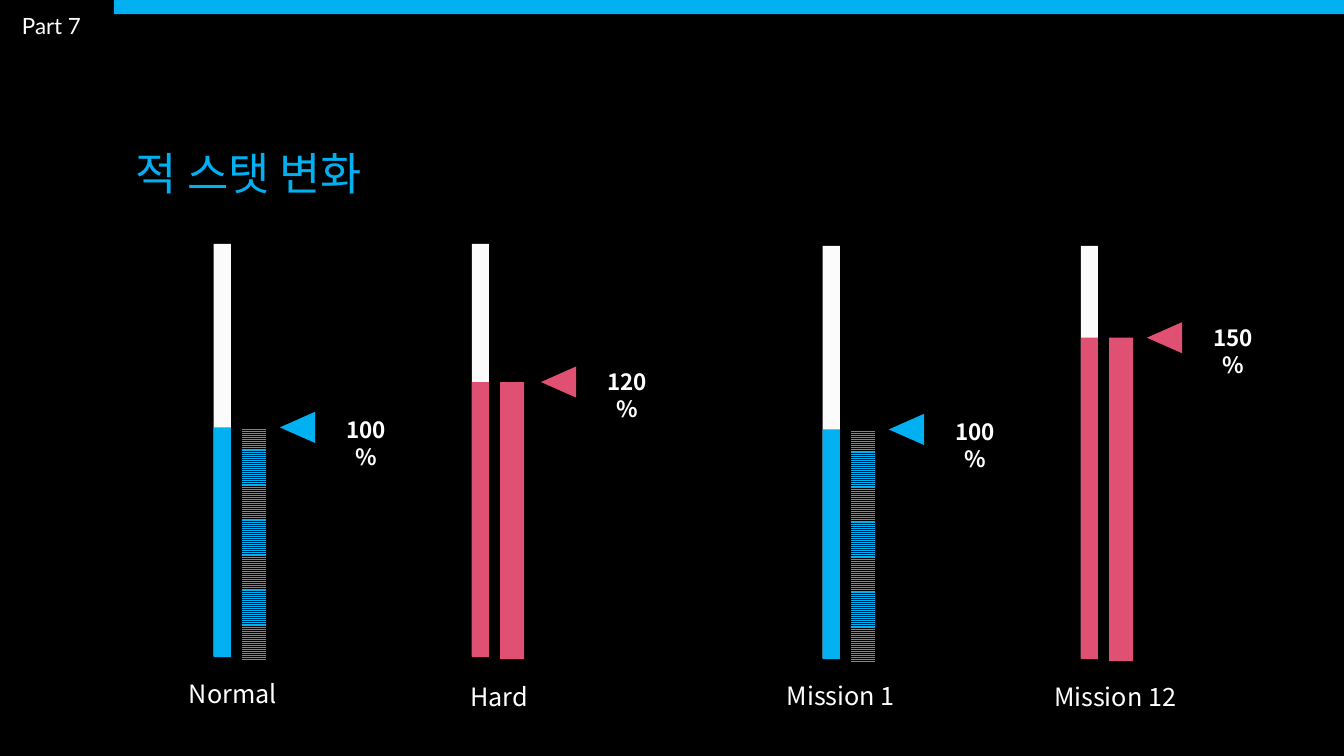
from dataclasses import dataclass

from pptx import Presentation
from pptx.dml.color import RGBColor
from pptx.dml.fill import FillFormat
from pptx.enum.dml import MSO_PATTERN
from pptx.enum.shapes import MSO_SHAPE as SHAPE
from pptx.enum.text import MSO_ANCHOR as ANCHOR, MSO_AUTO_SIZE as AUTO, PP_ALIGN as ALIGN
from pptx.shapes.autoshape import Shape
from pptx.shapes.shapetree import GroupShapes, SlideShapes
from pptx.util import Inches, Pt


@dataclass(frozen=True)
class Theme:
    black: RGBColor = RGBColor(0x00, 0x00, 0x00)
    white: RGBColor = RGBColor(0xFF, 0xFF, 0xFF)
    track: RGBColor = RGBColor(0xFB, 0xFB, 0xFB)
    blue: RGBColor = RGBColor(0x00, 0xB0, 0xF0)
    pink: RGBColor = RGBColor(0xE0, 0x50, 0x73)
    body_font: str = "Noto Sans CJK KR"
    part_font: str = "Lato"
    title_size: int = 32
    label_size: int = 18
    value_size: int = 16


@dataclass(frozen=True)
class Box:
    x: float
    y: float
    w: float
    h: float


@dataclass(frozen=True)
class TextStyle:
    size: int
    color: RGBColor
    font: str
    bold: bool = False
    align: ALIGN = ALIGN.CENTER
    anchor: ANCHOR = ANCHOR.TOP
    wrap: bool = False
    auto: AUTO = AUTO.SHAPE_TO_FIT_TEXT


@dataclass(frozen=True)
class Gauge:
    label: str
    value: str
    x: float
    top: float
    level: float
    color: RGBColor
    striped: bool
    cue_x: float
    value_y: float
    label_x: float
    label_y: float


Shapes = SlideShapes | GroupShapes
THEME = Theme()
TITLE = TextStyle(THEME.title_size, THEME.blue, THEME.body_font, align=ALIGN.LEFT,
                  anchor=ANCHOR.MIDDLE, wrap=True, auto=AUTO.NONE)
PART = TextStyle(THEME.value_size, THEME.white, THEME.part_font, align=ALIGN.LEFT, wrap=True)
VALUE = TextStyle(THEME.value_size, THEME.white, THEME.body_font, bold=True, wrap=True)
LABEL = TextStyle(THEME.label_size, THEME.white, THEME.body_font)

GAUGE_PAIRS = (
    (
        Gauge("Normal", "100%", 2.12, 2.42, 4.24, THEME.blue, True, 2.95, 4.08, 2.31, 6.68),
        Gauge("Hard", "120%", 4.68, 2.42, 3.79, THEME.pink, False, 5.54, 3.6, 4.95, 6.71),
    ),
    (
        Gauge("Mission 1", "100%", 8.16, 2.44, 4.26, THEME.blue, True, 8.99, 4.1, 8.34, 6.7),
        Gauge("Mission 12", "150%", 10.72, 2.44, 3.35, THEME.pink, False, 11.55, 3.17, 11.06, 6.71),
    ),
)


def set_stripes(fill: FillFormat, color: RGBColor) -> None:
    fill.patterned()
    fill.pattern = MSO_PATTERN.LIGHT_HORIZONTAL
    fill.fore_color.rgb = color
    fill.back_color.rgb = THEME.black


def add_block(shapes: Shapes, box: Box, color: RGBColor,
              kind: SHAPE = SHAPE.RECTANGLE, striped: bool = False) -> Shape:
    sp = shapes.add_shape(kind, Inches(box.x), Inches(box.y), Inches(box.w), Inches(box.h))
    sp.shadow.inherit = False
    sp.line.fill.background()
    if striped:
        set_stripes(sp.fill, color)
    else:
        sp.fill.solid()
        sp.fill.fore_color.rgb = color
    return sp


def add_text(shapes: Shapes, box: Box, text: str, style: TextStyle) -> None:
    sp = shapes.add_textbox(Inches(box.x), Inches(box.y), Inches(box.w), Inches(box.h))
    tf = sp.text_frame
    tf.word_wrap = style.wrap
    tf.auto_size = style.auto
    tf.vertical_anchor = style.anchor
    p = tf.paragraphs[0]
    p.text = text
    p.alignment = style.align
    p.font.name = style.font
    p.font.size = Pt(style.size)
    p.font.bold = style.bold
    p.font.color.rgb = style.color


def add_gauge(shapes: Shapes, g: Gauge) -> None:
    marker_w, marker_h = 0.31, 0.35
    value_w, label_w = 0.7, 1.47
    strip_x = g.x + 0.28
    marker = Box(g.cue_x - marker_w / 2, g.level - marker_h / 2, marker_w, marker_h)
    add_block(shapes, marker, g.color, SHAPE.ISOSCELES_TRIANGLE).rotation = 270
    add_block(shapes, Box(g.x, g.top, 0.17, 4.09), THEME.track)
    add_block(shapes, Box(g.x, g.level, 0.17, g.top + 4.1 - g.level), g.color)
    add_block(shapes, Box(strip_x, g.top - 0.01, 0.25, 4.06), THEME.black, striped=True)
    add_block(shapes, Box(strip_x, g.level, 0.24, g.top + 4.12 - g.level), g.color,
              striped=g.striped)
    add_text(shapes, Box(g.cue_x + 0.68 - value_w / 2, g.value_y, value_w, 0.37), g.value, VALUE)
    add_text(shapes, Box(g.label_x - label_w / 2, g.label_y, label_w, 0.4), g.label, LABEL)


def main() -> None:
    prs = Presentation()
    prs.slide_width, prs.slide_height = Inches(13.33), Inches(7.5)
    s = prs.slides.add_slide(prs.slide_layouts[6])
    s.background.fill.solid()
    s.background.fill.fore_color.rgb = THEME.black
    add_text(s.shapes, Box(1.25, 0.67, 10.83, 2.08), "적 스탯 변화", TITLE)
    add_block(s.shapes, Box(1.13, 0, 12.2, 0.14), THEME.blue)
    for pair in GAUGE_PAIRS:
        group = s.shapes.add_group_shape()
        for gauge in pair:
            add_gauge(group.shapes, gauge)
    add_text(s.shapes, Box(0.12, 0.07, 1.13, 0.37), "Part 7", PART)
    prs.save("out.pptx")


if __name__ == "__main__":
    main()
